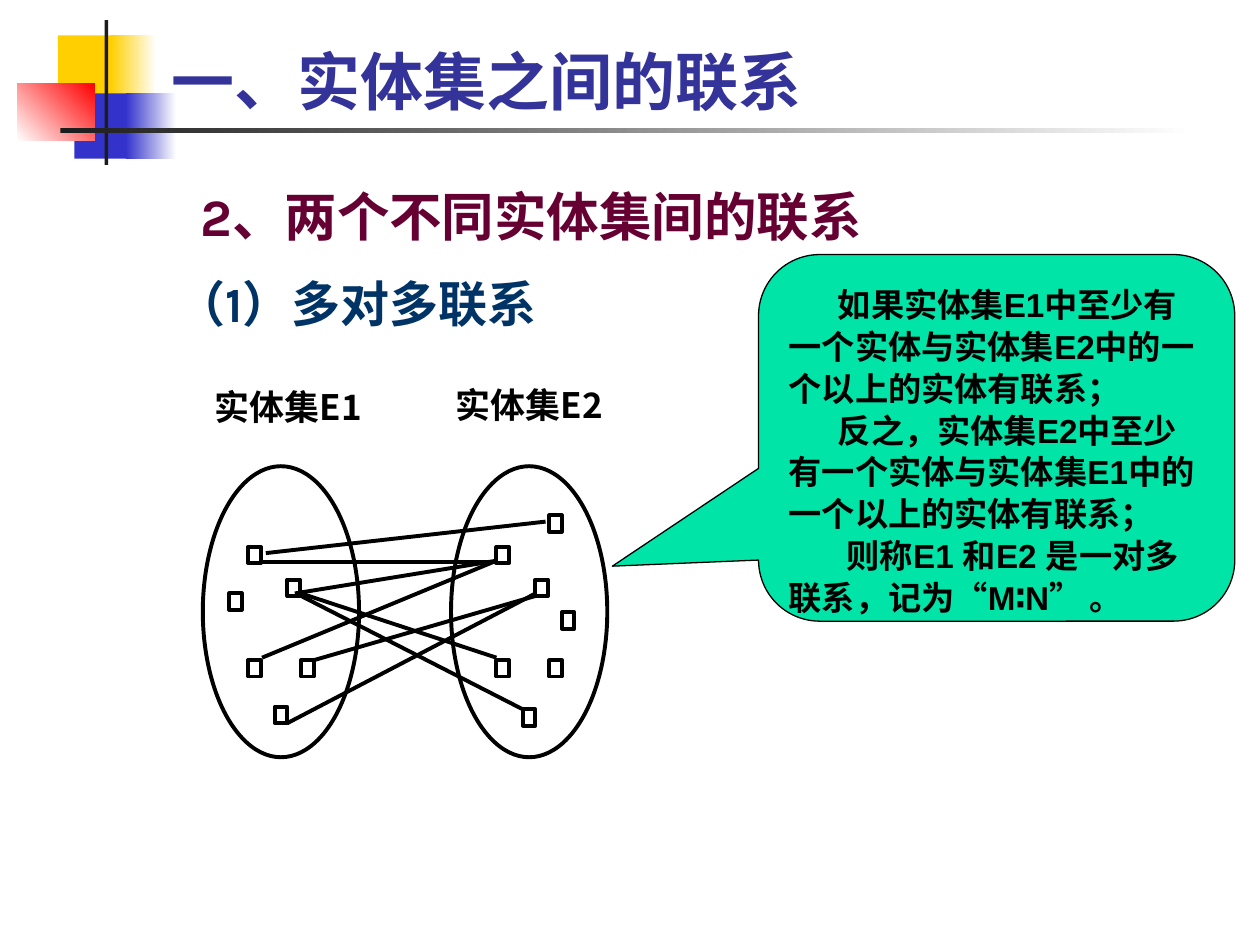
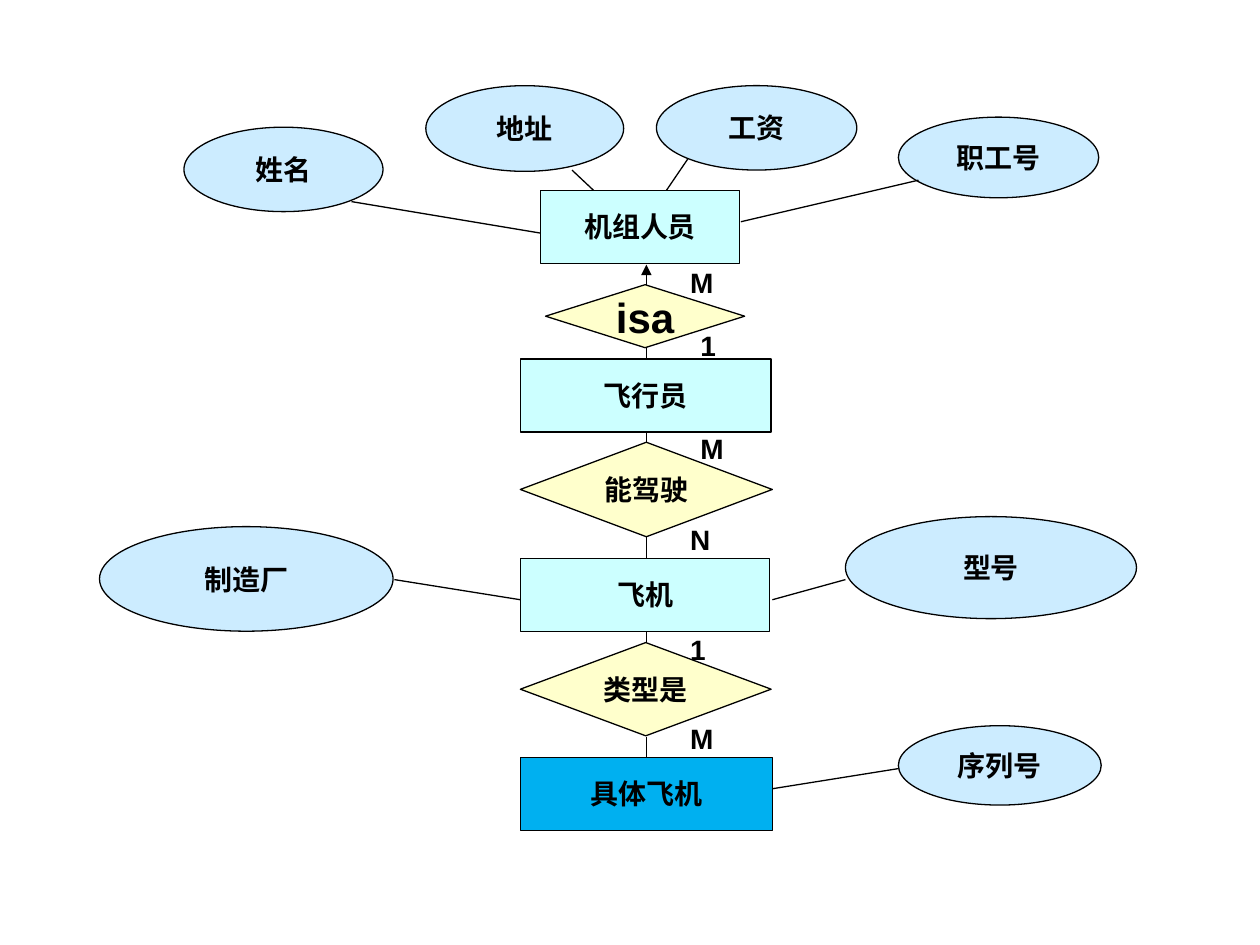
from lxml.etree import SubElement
from pptx import Presentation
from pptx.dml.color import RGBColor
from pptx.enum.shapes import MSO_CONNECTOR, MSO_SHAPE
from pptx.enum.text import MSO_ANCHOR, MSO_AUTO_SIZE, PP_ALIGN
from pptx.oxml.ns import qn
from pptx.util import Inches, Pt

BLACK = RGBColor(0x00, 0x00, 0x00)
WHITE = RGBColor(0xFF, 0xFF, 0xFF)
CHARCOAL = RGBColor(0x1C, 0x1C, 0x1C)
YELLOW = RGBColor(0xFF, 0xCF, 0x01)
BLUE = RGBColor(0x33, 0x33, 0xCC)
RED = RGBColor(0xFF, 0x00, 0x00)
TITLE_BLUE = RGBColor(0x33, 0x33, 0x99)
HEADING_PURPLE = RGBColor(0x66, 0x00, 0x33)
HEADING_NAVY = RGBColor(0x00, 0x33, 0x66)
CALLOUT_GREEN = RGBColor(0x00, 0xE4, 0xA8)
ENTITY_CYAN = RGBColor(0xCC, 0xFF, 0xFF)
INSTANCE_BLUE = RGBColor(0x00, 0xB0, 0xF0)
ATTRIBUTE_BLUE = RGBColor(0xCC, 0xEC, 0xFF)
RELATION_YELLOW = RGBColor(0xFF, 0xFF, 0xCC)

HEADING_FONT = "Karla"
LABEL_FONT = "Noto Sans CJK SC"
BODY_FONT = "Arial"
THIN, THICK = 0.75, 2.25
AXIS = 5.13  # centre line of the entity-relationship chain


def apply(target, values):
    for name, value in values.items():
        setattr(target, name, value)


def write(paragraph, text, size, font=BODY_FONT, color=BLACK, **layout):
    """Put bold text in a paragraph; layout holds paragraph attributes."""
    run = paragraph.add_run()
    run.text = text
    apply(run.font, {"name": font, "size": Pt(size), "bold": True})
    run.font.color.rgb = color
    apply(paragraph, layout)


def indent(paragraph, margin, first_line=0):
    properties = paragraph._p.get_or_add_pPr()
    properties.set("marL", str(Inches(margin)))
    properties.set("indent", str(Inches(first_line)))


def add_shape(slide, kind, box, fill=None, line_width=None, gradient=None, angle=0):
    shape = slide.shapes.add_shape(kind, *map(Inches, box))
    shape.shadow.inherit = False
    if gradient:
        shape.fill.gradient()
        shape.fill.gradient_angle = angle
        for stop, color in zip(shape.fill.gradient_stops, gradient):
            stop.color.rgb = color
    elif fill is not None:
        shape.fill.solid()
        shape.fill.fore_color.rgb = fill
    else:
        shape.fill.background()
    if line_width:
        shape.line.color.rgb = BLACK
        shape.line.width = Pt(line_width)
    else:
        shape.line.fill.background()
    return shape


def add_line(slide, start, end, width, arrow=False):
    connector = slide.shapes.add_connector(
        MSO_CONNECTOR.STRAIGHT, *map(Inches, (*start, *end)))
    connector.line.color.rgb = BLACK
    connector.line.width = Pt(width)
    SubElement(connector._element.spPr, qn("a:effectLst"))
    if arrow:
        SubElement(connector.line._get_or_add_ln(), qn("a:tailEnd"), type="triangle")


def add_label(slide, box, text, size, font=BODY_FONT, align=PP_ALIGN.LEFT, inset=None):
    frame = slide.shapes.add_textbox(*map(Inches, box)).text_frame
    frame.word_wrap = True
    if inset is not None:
        for side in ("left", "top", "right", "bottom"):
            setattr(frame, f"margin_{side}", Inches(inset))
    write(frame.paragraphs[0], text, size, font, alignment=align)


def add_node(slide, kind, box, fill, text, size=16):
    """Outlined shape with one centred line of text."""
    frame = add_shape(slide, kind, box, fill, THIN).text_frame
    apply(frame, {"word_wrap": False, "vertical_anchor": MSO_ANCHOR.MIDDLE})
    write(frame.paragraphs[0], text, size, alignment=PP_ALIGN.CENTER)


def place_placeholder(slide, placeholder, box, anchor):
    """Move a placeholder to its box and in front of the title band."""
    apply(placeholder, dict(zip(("left", "top", "width", "height"), map(Inches, box))))
    slide.shapes._spTree.append(placeholder._element)
    frame = placeholder.text_frame
    apply(frame, {"auto_size": MSO_AUTO_SIZE.NONE, "word_wrap": True,
                  "vertical_anchor": anchor})
    return frame


def add_title_band(slide):
    for box, style in [
        ((0.46, 0.28, 0.48, 0.52), {"fill": YELLOW}),
        ((0.88, 0.28, 0.36, 0.52), {"gradient": (YELLOW, WHITE)}),
        ((0.59, 0.74, 0.46, 0.52), {"fill": BLUE}),
        ((1, 0.74, 0.4, 0.52), {"gradient": (BLUE, WHITE)}),
        ((0.14, 0.66, 0.61, 0.46), {"gradient": (WHITE, RED), "angle": 45}),
        ((0.83, 0.16, 0.03, 1.15), {"fill": CHARCOAL}),
        ((0.48, 1.02, 9, 0.04), {"gradient": (CHARCOAL, WHITE)}),
    ]:
        add_shape(slide, MSO_SHAPE.RECTANGLE, box, **style)


def add_headings(slide):
    title = place_placeholder(slide, slide.shapes.title, (1.26, 0.08, 8.52, 0.91),
                              MSO_ANCHOR.BOTTOM)
    write(title.paragraphs[0], "一、实体集之间的联系", 36, HEADING_FONT, TITLE_BLUE,
          alignment=PP_ALIGN.LEFT)
    body = place_placeholder(slide, slide.placeholders[1], (0.51, 1.31, 8.98, 5.83),
                             MSO_ANCHOR.TOP)
    for number, (text, size, color, margin, spacing, before) in enumerate([
        ("2、两个不同实体集间的联系", 30, HEADING_PURPLE, 0.98, 1.2, 0),
        ("（1）多对多联系", 28, HEADING_NAVY, 0.79, 1.35, 3.5),
    ]):
        paragraph = body.add_paragraph() if number else body.paragraphs[0]
        indent(paragraph, margin)
        SubElement(paragraph._p.get_or_add_pPr(), qn("a:buNone"))
        write(paragraph, text, size, HEADING_FONT, color,
              line_spacing=spacing, space_before=Pt(before))


def add_entity_set(slide, name, left, label_box, extra_members):
    """Ellipse with its label and member squares, placed from its left edge."""
    add_label(slide, label_box, name, 20, LABEL_FONT, PP_ALIGN.CENTER, inset=0)
    add_shape(slide, MSO_SHAPE.OVAL, (left, 3.7, 1.24, 2.31), line_width=THICK)
    shared_members = [(0.36, 4.34), (0.67, 4.6), (0.78, 5.24), (0.36, 5.24)]
    for offset, top in shared_members + extra_members:
        add_shape(slide, MSO_SHAPE.RECTANGLE, (left + offset, top, 0.1, 0.13),
                  line_width=THICK)


def add_definition_callout(slide):
    callout = add_shape(slide, MSO_SHAPE.ROUNDED_RECTANGULAR_CALLOUT,
                        (6.02, 2.02, 3.78, 2.91), CALLOUT_GREEN, THIN)
    for number, value in enumerate((-0.807, 0.35, 0.167)):
        callout.adjustments[number] = value
    frame = callout.text_frame
    apply(frame, {"word_wrap": True, "vertical_anchor": MSO_ANCHOR.TOP,
                  "margin_top": Inches(0.08)})
    for number, (first_line, text) in enumerate([
        (0.39, "如果实体集E1中至少有一个实体与实体集E2中的一个以上的实体有联系；"),
        (0.39, "反之，实体集E2中至少有一个实体与实体集E1中的一个以上的实体有联系；"),
        (0.46, "则称E1 和E2 是一对多联系，记为“M∶N” 。"),
    ]):
        paragraph = frame.add_paragraph() if number else frame.paragraphs[0]
        indent(paragraph, 0, first_line)
        write(paragraph, text, 19, alignment=PP_ALIGN.LEFT, line_spacing=Pt(23.9))


def build_many_to_many(presentation):
    slide = presentation.slides.add_slide(presentation.slide_layouts[1])
    add_title_band(slide)
    add_headings(slide)
    add_entity_set(slide, "实体集E1", 1.61, (1.46, 3.06, 1.66, 0.64),
                   [(0.21, 4.71), (0.57, 5.61)])
    add_entity_set(slide, "实体集E2", 3.58, (3.37, 3.04, 1.66, 0.64),
                   [(0.88, 4.86), (0.78, 4.09), (0.57, 5.63)])
    for start, end in [
        ((2.11, 4.39), (4.33, 4.14)),
        ((2.39, 4.73), (4.15, 5.63)),
        ((2.49, 5.24), (4.25, 4.73)),
        ((2.08, 4.46), (3.94, 4.46)),
        ((2.39, 4.71), (3.94, 5.22)),
        ((3.94, 4.45), (2.34, 4.71)),
        ((3.94, 4.45), (2.08, 5.22)),
        ((4.25, 4.71), (2.28, 5.74)),
    ]:
        add_line(slide, start, end, THICK)
    add_definition_callout(slide)


def build_aircraft_diagram(presentation):
    slide = presentation.slides.add_slide(presentation.slide_layouts[6])
    for text, left, top, width, fill in [
        ("机组人员", 4.29, 1.51, 1.58, ENTITY_CYAN),
        ("飞行员", 4.13, 2.85, 1.99, ENTITY_CYAN),
        ("飞机", 4.13, 4.43, 1.98, ENTITY_CYAN),
        ("具体飞机", 4.13, 6.01, 2, INSTANCE_BLUE),
    ]:
        add_node(slide, MSO_SHAPE.RECTANGLE, (left, top, width, 0.58), fill, text)
    for text, box in [
        ("姓名", (1.46, 1.01, 1.58, 0.67)),
        ("地址", (3.38, 0.68, 1.57, 0.68)),
        ("工资", (5.21, 0.68, 1.59, 0.67)),
        ("职工号", (7.13, 0.93, 1.59, 0.64)),
        ("制造厂", (0.79, 4.18, 2.33, 0.83)),
        ("型号", (6.71, 4.1, 2.31, 0.81)),
        ("序列号", (7.13, 5.76, 1.61, 0.63)),
    ]:
        add_node(slide, MSO_SHAPE.OVAL, box, ATTRIBUTE_BLUE, text)
    for text, box, size in [
        ("isa", (4.33, 2.26, 1.58, 0.5), 24),
        ("能驾驶", (4.13, 3.51, 2, 0.75), 16),
        ("类型是", (4.13, 5.1, 1.99, 0.74), 16),
    ]:
        add_node(slide, MSO_SHAPE.FLOWCHART_DECISION, box, RELATION_YELLOW, text, size)

    add_line(slide, (AXIS, 2.26), (AXIS, 2.1), THIN, arrow=True)
    for top, bottom in [(2.76, 2.85), (3.43, 3.51), (4.26, 4.43), (5.01, 5.1),
                        (5.85, 6.01)]:
        add_line(slide, (AXIS, top), (AXIS, bottom), THIN)
    for attribute_end, entity_end in [
        ((2.79, 1.6), (4.29, 1.85)),
        ((4.54, 1.35), (4.71, 1.51)),
        ((5.46, 1.26), (5.29, 1.51)),
        ((7.29, 1.43), (5.88, 1.76)),
        ((3.13, 4.6), (4.13, 4.76)),
        ((6.71, 4.6), (6.13, 4.76)),
        ((7.13, 6.1), (6.13, 6.26)),
    ]:
        add_line(slide, attribute_end, entity_end, THIN)
    for cardinality, left, top in [
        ("M", 5.38, 2.06), ("1", 5.46, 2.56), ("M", 5.46, 3.38),
        ("N", 5.38, 4.1), ("1", 5.38, 4.97), ("M", 5.38, 5.68),
    ]:
        add_label(slide, (left, top, 0.67, 0.37), cardinality, 16)


def main():
    presentation = Presentation()
    presentation.slide_width = Inches(10)
    presentation.slide_height = Inches(7.5)
    build_many_to_many(presentation)
    build_aircraft_diagram(presentation)
    presentation.save("out.pptx")


if __name__ == "__main__":
    main()
